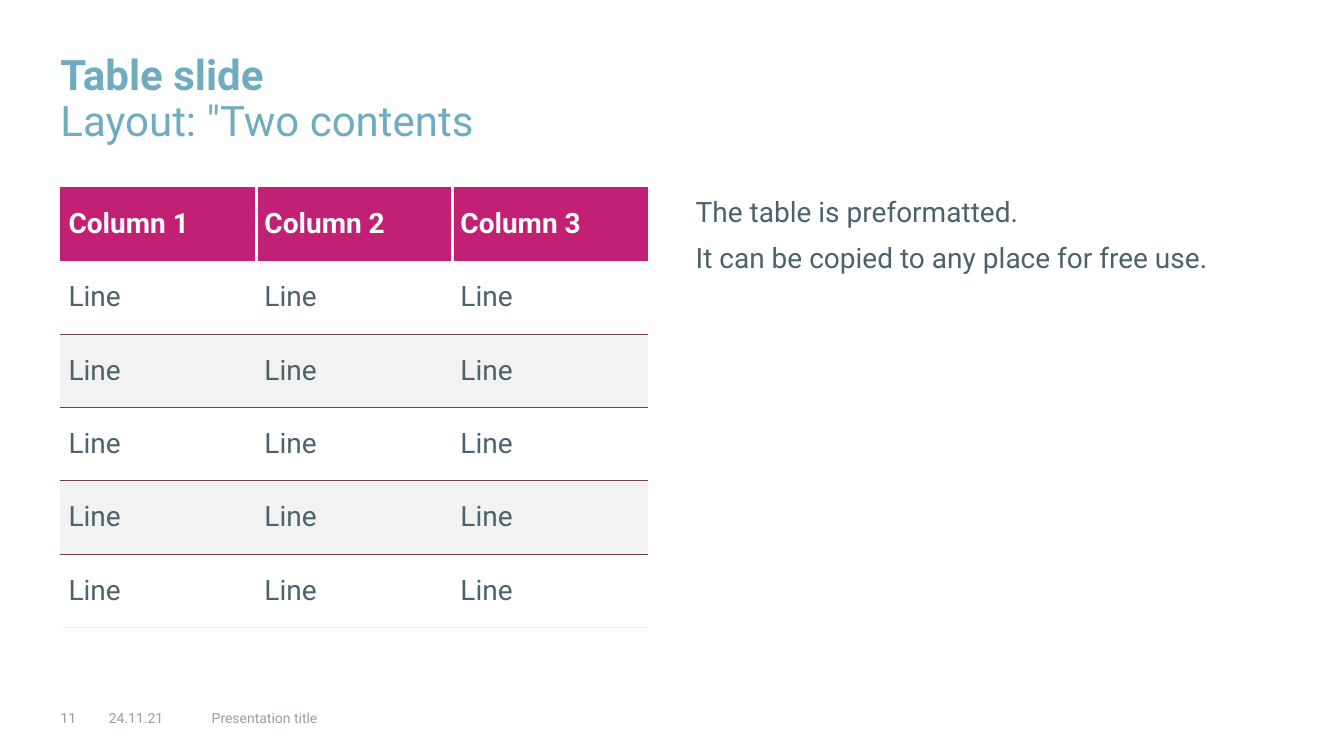
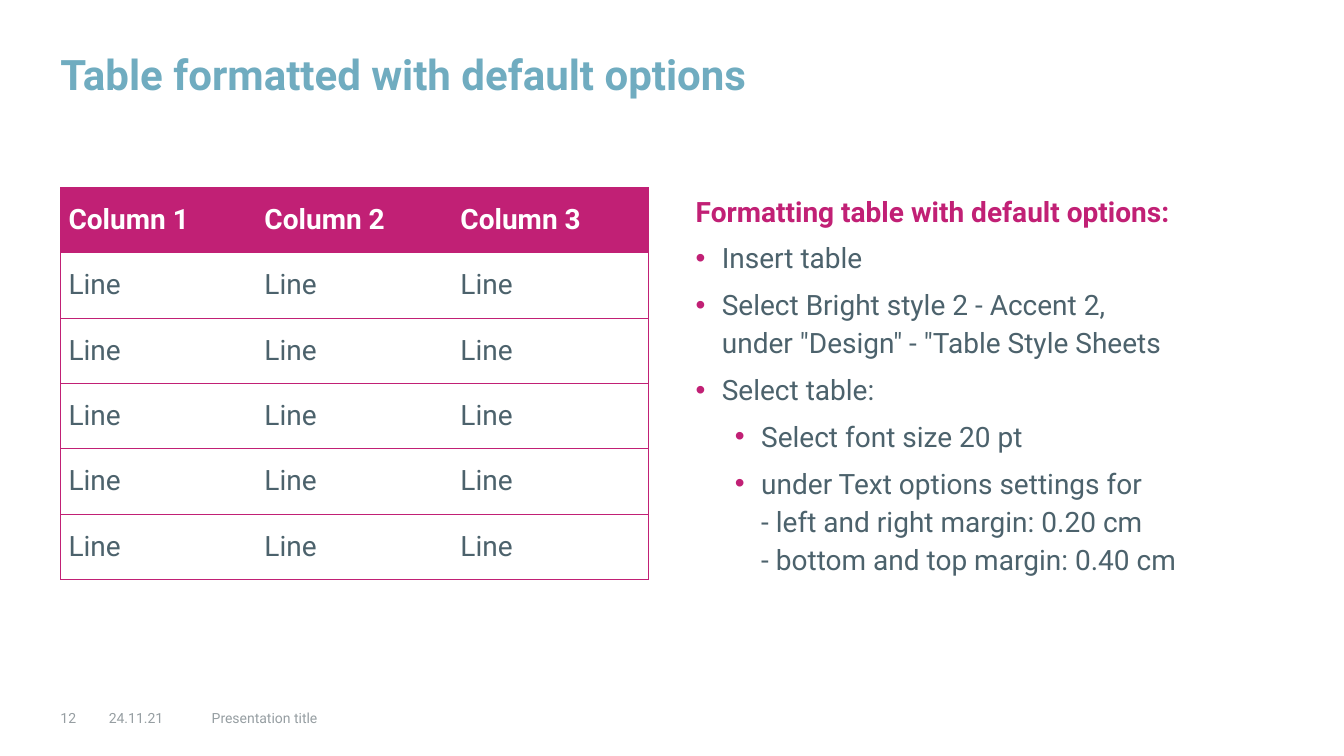
from collections.abc import Callable
from dataclasses import dataclass

from lxml.etree import SubElement
from pptx import Presentation
from pptx.dml.color import RGBColor
from pptx.enum.text import MSO_ANCHOR, MSO_AUTO_SIZE
from pptx.oxml import parse_xml
from pptx.oxml.ns import nsdecls, qn
from pptx.util import Inches, Pt

COLORS = {
    "title": "70ACC0",
    "text": "4C626C",
    "accent": "C12075",
    "plum": "723C5D",
    "band": "F2F2F2",
    "footer": "969EA2",
    "white": "FFFFFF",
}
FONT = "Roboto"
LEFT, RIGHT, TOP, COL_W = 0.6, 6.9, 1.86, 5.83
INDENT = 0.26
SIDES = {"l": "lnL", "r": "lnR", "t": "lnT", "b": "lnB"}
HEADERS = ["Column 1", "Column 2", "Column 3"]
LINES = 5

Borders = dict[str, tuple[str, float]]


@dataclass(frozen=True)
class Item:
    text: str
    color: str = "text"
    bold: bool = False
    bullet_at: float | None = None


@dataclass(frozen=True)
class TableStyle:
    height: float
    margin: float
    borders: Callable[[int, int], Borders]
    banded: bool = False


@dataclass(frozen=True)
class Page:
    number: int
    title: str
    subtitle: str
    style: TableStyle
    items: list[Item]


def banded_borders(row: int, col: int) -> Borders:
    borders: Borders = {}
    if row == 0:
        if col > 0:
            borders["l"] = ("white", 3)
        if col < len(HEADERS) - 1:
            borders["r"] = ("white", 3)
        return borders
    if row > 1:
        borders["t"] = ("plum", 0.75)
    borders["b"] = ("plum" if row < LINES else "band", 0.75)
    return borders


def ruled_borders(row: int, col: int) -> Borders:
    sides = "tb"
    if col == 0:
        sides += "l"
    if col == len(HEADERS) - 1:
        sides += "r"
    return {side: ("accent", 0.5) for side in sides}


def add_text(p, text: str, *, size: float = 20, color: str = "text", bold: bool = False) -> None:
    for i, line in enumerate(text.split("\n")):
        if i:
            p.add_line_break()
        if not line:
            continue
        r = p.add_run()
        r.text = line
        r.font.name = FONT
        r.font.size = Pt(size)
        r.font.bold = bold
        r.font.color.rgb = RGBColor.from_string(COLORS[color])


def add_box(slide, x: float, y: float, w: float, h: float, inset: float):
    tf = slide.shapes.add_textbox(Inches(x), Inches(y), Inches(w), Inches(h)).text_frame
    tf.word_wrap = True
    tf.auto_size = MSO_AUTO_SIZE.NONE
    tf.vertical_anchor = MSO_ANCHOR.TOP
    tf.margin_left = tf.margin_right = tf.margin_bottom = 0
    tf.margin_top = Inches(inset)
    return tf


def add_bullet(p, at: float) -> None:
    pPr = p._p.get_or_add_pPr()
    pPr.set("marL", str(Inches(at + INDENT)))
    pPr.set("indent", str(-Inches(INDENT)))
    SubElement(SubElement(pPr, qn("a:buClr")), qn("a:srgbClr"), val=COLORS["accent"])
    SubElement(pPr, qn("a:buFont"), typeface="Arial")
    SubElement(pPr, qn("a:buChar"), char="•")


def set_borders(cell, borders: Borders) -> None:
    tcPr = cell._tc.get_or_add_tcPr()
    for i, (side, tag) in enumerate(SIDES.items()):
        width, fill = 0, "<a:noFill/>"
        if side in borders:
            color, width = borders[side]
            fill = f'<a:solidFill><a:srgbClr val="{COLORS[color]}"/></a:solidFill>'
        tcPr.insert(i, parse_xml(f'<a:{tag} {nsdecls("a")} w="{Pt(width)}">{fill}</a:{tag}>'))


def fill_cell(cell, row: int, style: TableStyle) -> None:
    if row == 0:
        color = "accent"
    elif style.banded and row % 2 == 0:
        color = "band"
    else:
        cell.fill.background()
        return
    cell.fill.solid()
    cell.fill.fore_color.rgb = RGBColor.from_string(COLORS[color])


def add_table(slide, style: TableStyle) -> None:
    rows = [HEADERS] + [["Line"] * len(HEADERS)] * LINES
    table = slide.shapes.add_table(
        len(rows), len(HEADERS), Inches(LEFT), Inches(TOP), Inches(COL_W), Inches(style.height)
    ).table
    table.first_row = table.horz_banding = False
    for row, texts in enumerate(rows):
        for col, text in enumerate(texts):
            cell = table.cell(row, col)
            cell.margin_left = cell.margin_right = Inches(0.08)
            cell.margin_top = cell.margin_bottom = Inches(style.margin)
            fill_cell(cell, row, style)
            set_borders(cell, style.borders(row, col))
            header = row == 0
            add_text(cell.text_frame.paragraphs[0], text,
                     color="white" if header else "text", bold=header)


def add_body(slide, items: list[Item]) -> None:
    tf = add_box(slide, RIGHT, TOP, COL_W, 4.65, 0.02)
    for i, item in enumerate(items):
        p = tf.add_paragraph() if i else tf.paragraphs[0]
        if item.bullet_at is not None:
            add_bullet(p, item.bullet_at)
        p.line_spacing = 1.14
        p.space_before = Pt(6 if i else 0)
        add_text(p, item.text, color=item.color, bold=item.bold)


def add_title(slide, title: str, subtitle: str) -> None:
    p = add_box(slide, LEFT, 0.52, 10.87, 0.94, 0.02).paragraphs[0]
    p.line_spacing = 0.9
    add_text(p, title, size=30, color="title", bold=True)
    if subtitle:
        add_text(p, "\n" + subtitle, size=30, color="title")


def add_footer(slide, number: int) -> None:
    for x, w, text in [
        (LEFT, 0.31, str(number)),
        (1.08, 0.87, "24.11.21"),
        (2.1, 4.72, "Presentation title"),
    ]:
        p = add_box(slide, x, 6.98, w, 0.24, 0.06).paragraphs[0]
        add_text(p, text, size=10, color="footer")


PAGES = [
    Page(
        11, "Table slide", 'Layout: "Two contents',
        TableStyle(4.36, 0.2, banded_borders, banded=True),
        [
            Item("The table is preformatted."),
            Item("It can be copied to any place for free use."),
        ],
    ),
    Page(
        12, "Table formatted with default options", "",
        TableStyle(3.89, 0.16, ruled_borders),
        [
            Item("Formatting table with default options:", "accent", True),
            Item("Insert table", bullet_at=0),
            Item('Select Bright style 2 - Accent 2,\nunder "Design" - "Table Style Sheets', bullet_at=0),
            Item("Select table:", bullet_at=0),
            Item("Select font size 20 pt", bullet_at=0.39),
            Item(
                "under Text options settings for\n"
                "- left and right margin: 0.20 cm\n"
                "- bottom and top margin: 0.40 cm",
                bullet_at=0.39,
            ),
        ],
    ),
]


def main() -> None:
    prs = Presentation()
    prs.slide_width, prs.slide_height = Inches(13.33), Inches(7.5)
    for page in PAGES:
        slide = prs.slides.add_slide(prs.slide_layouts[6])
        add_title(slide, page.title, page.subtitle)
        add_table(slide, page.style)
        add_body(slide, page.items)
        add_footer(slide, page.number)
    prs.save("out.pptx")


if __name__ == "__main__":
    main()
